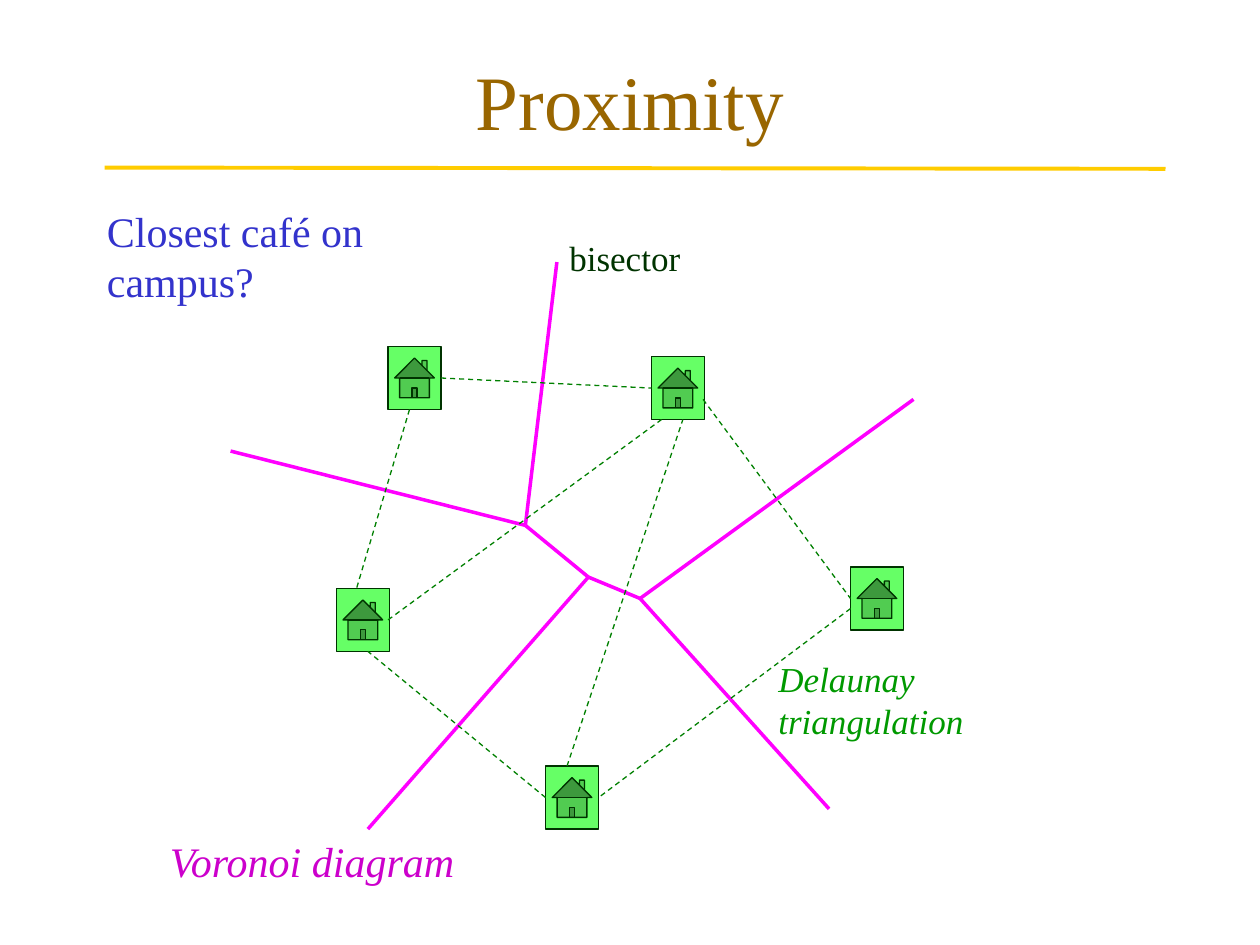
from lxml import etree
from pptx import Presentation
from pptx.dml.color import RGBColor
from pptx.enum import dml, shapes, text
from pptx.oxml import ns
from pptx.util import Inches, Pt

FONT = "Times New Roman"
BROWN = RGBColor(0x99, 0x66, 0x00)
GOLD = RGBColor(0xFF, 0xCC, 0x00)
BLUE = RGBColor(0x33, 0x33, 0xCC)
PINK = RGBColor(0xFF, 0x00, 0xFF)
PURPLE = RGBColor(0xCC, 0x00, 0xCC)
LIME = RGBColor(0x66, 0xFF, 0x66)
GREEN = RGBColor(0x00, 0x80, 0x00)
LEAF = RGBColor(0x00, 0x99, 0x00)
DARK = RGBColor(0x00, 0x33, 0x00)

# Points are in inches from the top left corner of the diagram.
CAFES = [(1.25, 0.67), (2.5, 4), (0.84, 2.59), (3.34, 0.75), (4.92, 2.42)]
UPPER, MIDDLE, LOWER = (2.34, 2.09), (2.84, 2.5), (3.25, 2.67)
EDGES = [
    ((2.59, 0), UPPER), (UPPER, (0, 1.5)), (UPPER, MIDDLE),
    (MIDDLE, (1.09, 4.5)), (MIDDLE, LOWER),
    (LOWER, (5.42, 1.09)), (LOWER, (4.75, 4.34)),
]
LINKS = [
    ((1.67, 0.92), (3.34, 1)), ((3.75, 1.09), (4.92, 2.67)),
    ((4.92, 2.75), (2.92, 4.25)), ((2.5, 4.25), (1.09, 3.09)),
    ((1.42, 1.17), (1, 2.59)), ((1.25, 2.84), (3.42, 1.25)),
    ((2.67, 4), (3.59, 1.25)),
]


def write(frame, words, size, color, italic=False, align=text.PP_ALIGN.LEFT):
    para = frame.paragraphs[0]
    para.text = words
    para.alignment = align
    for run in para.runs:
        font = run.font
        font.name, font.size, font.italic = FONT, Pt(size), italic
        font.color.rgb = color


def label(slide, box, words, size, color, italic=False):
    frame = slide.shapes.add_textbox(*map(Inches, box)).text_frame
    frame.word_wrap = False
    write(frame, words, size, color, italic)


def line(slide, start, end, color, width, dashed=False):
    link = slide.shapes.add_connector(
        shapes.MSO_CONNECTOR.STRAIGHT, *map(Inches, (*start, *end)))
    link.line.color.rgb = color
    link.line.width = Pt(width)
    if dashed:
        link.line.dash_style = dml.MSO_LINE.DASH
    etree.SubElement(link._element.spPr, ns.qn("a:effectLst"))


def cafe(slide, left, top):
    house = slide.shapes.add_shape(
        shapes.MSO_SHAPE.ACTION_BUTTON_HOME,
        *map(Inches, (left, top, 0.42, 0.5)))
    house.shadow.inherit = False
    house.fill.solid()
    house.fill.fore_color.rgb = LIME
    house.line.color.rgb = DARK
    house.line.width = Pt(0.75)


def header(slide, left, top, width, height):
    title = slide.shapes.title
    title.left, title.top = Inches(left), Inches(top)
    title.width, title.height = Inches(width), Inches(height)
    title.text_frame.vertical_anchor = text.MSO_ANCHOR.MIDDLE
    write(title.text_frame, "Proximity", 44, BROWN,
          align=text.PP_ALIGN.CENTER)
    line(slide, (left + 0.08, top + 1.16), (left + width, top + 1.17),
         GOLD, 2.25)


def diagram(slide, left, top):
    """Draw the cafés, the Voronoi edges and the Delaunay links."""
    def place(point):
        return left + point[0], top + point[1]

    for spot in CAFES:
        cafe(slide, *place(spot))
    for start, end in EDGES:
        line(slide, place(start), place(end), PINK, 2)
    for start, end in LINKS:
        line(slide, place(start), place(end), GREEN, 0.75, dashed=True)
    label(slide, (*place((-0.58, 4.5)), 2.51, 0.5),
          "Voronoi diagram", 24, PURPLE, italic=True)
    label(slide, (*place((4.25, 3.09)), 1.7, 0.77),
          "Delaunay\vtriangulation", 20, LEAF, italic=True)
    label(slide, (*place((2.59, -0.25)), 1.09, 0.44), "bisector", 20, DARK)


def main():
    deck = Presentation()
    deck.slide_width, deck.slide_height = Inches(10), Inches(7.5)
    slide = deck.slides.add_slide(deck.slide_layouts[5])
    header(slide, 0.75, 0.17, 8.5, 1.25)
    label(slide, (0.75, 1.58, 3.48, 0.5), "Closest café on campus?", 24, BLUE)
    diagram(slide, 1.83, 2.08)
    deck.save("out.pptx")


if __name__ == "__main__":
    main()
